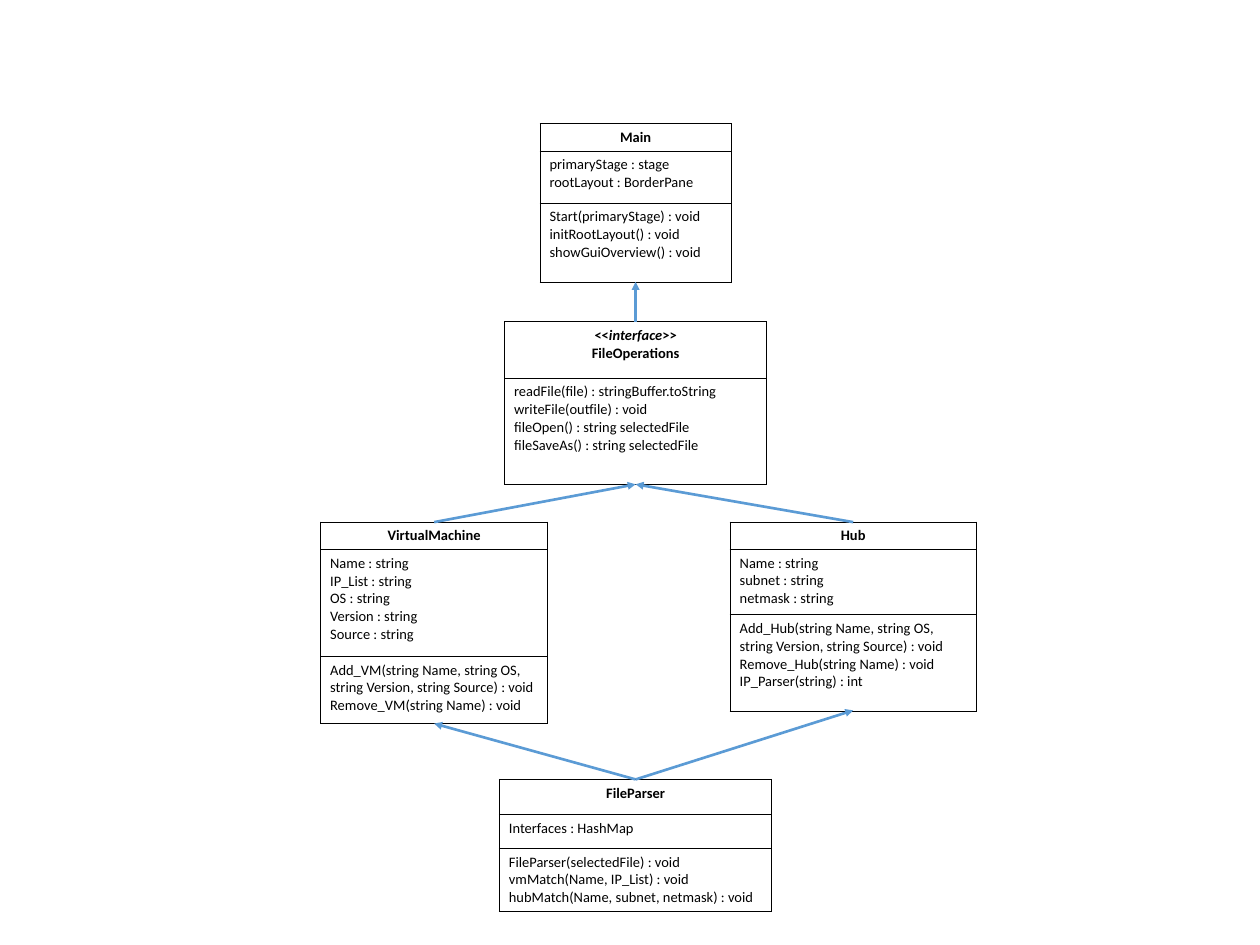
from lxml.etree import SubElement
from pptx import Presentation
from pptx.dml.color import RGBColor
from pptx.enum.shapes import MSO_CONNECTOR as Connector
from pptx.enum.text import PP_ALIGN as Align
from pptx.oxml import parse_xml
from pptx.oxml.ns import nsdecls, qn
from pptx.util import Inches, Pt

WIDTH, HEIGHT = 13.32, 9.99
FONT, FONT_SIZE = "Calibri", 11
BLACK, WHITE, BLUE = "000000", "FFFFFF", "5B9BD5"
LEFT, MIDDLE, RIGHT = 4.59, 6.72, 9.02  # centre lines of the three columns

# name: (centre, top, width, [(row height, lines), ...])
CLASSES = {
    "VirtualMachine": (LEFT, 5.52, 2.4, [
        (0.29, ["VirtualMachine"]),
        (1.13, ["Name : string", "IP_List : string", "OS : string",
                "Version : string", "Source : string"]),
        (0.71, ["Add_VM(string Name, string OS, string Version, string Source) : void",
                "Remove_VM(string Name) : void"]),
    ]),
    "Hub": (RIGHT, 5.52, 2.6, [
        (0.28, ["Hub"]),
        (0.69, ["Name : string", "subnet : string", "netmask : string"]),
        (1.02, ["Add_Hub(string Name, string OS, string Version, string Source) : void",
                "Remove_Hub(string Name) : void", "IP_Parser(string) : int"]),
    ]),
    "FileOperations": (MIDDLE, 3.4, 2.77, [
        (0.6, [("<<", "interface", ">>"), "FileOperations"]),
        (1.12, ["readFile(file) : stringBuffer.toString", "writeFile(outfile) : void",
                "fileOpen() : string selectedFile", "fileSaveAs() : string selectedFile"]),
    ]),
    "FileParser": (MIDDLE, 8.24, 2.88, [
        (0.37, ["FileParser"]),
        (0.36, ["Interfaces : HashMap"]),
        (0.65, ["FileParser(selectedFile) : void", "vmMatch(Name, IP_List) : void",
                "hubMatch(Name, subnet, netmask) : void"]),
    ]),
    "Main": (MIDDLE, 1.31, 2.02, [
        (0.28, ["Main"]),
        (0.55, ["primaryStage : stage", "rootLayout : BorderPane"]),
        (0.84, ["Start(primaryStage) : void", "initRootLayout() : void",
                "showGuiOverview() : void"]),
    ]),
}
ARROWS = [
    ("VirtualMachine", "FileOperations"),
    ("Hub", "FileOperations"),
    ("FileOperations", "Main"),
    ("FileParser", "VirtualMachine"),
    ("FileParser", "Hub"),
]


def rgb(color):
    return RGBColor.from_string(color)


def style_cell(cell):
    """Give the cell a white fill and a thin black border on every side."""
    cell.fill.solid()
    cell.fill.fore_color.rgb = rgb(WHITE)
    tc_pr = cell._tc.get_or_add_tcPr()
    for i, side in enumerate("LRTB"):
        tc_pr.insert(i, parse_xml(
            f'<a:ln{side} {nsdecls("a")} w="{Pt(1)}"><a:solidFill>'
            f'<a:srgbClr val="{BLACK}"/></a:solidFill></a:ln{side}>'))


def write_lines(cell, lines, is_title):
    """Write one paragraph per line; the middle part of a tuple is italic."""
    tf = cell.text_frame
    for i, line in enumerate(lines):
        p = tf.add_paragraph() if i else tf.paragraphs[0]
        p.alignment = Align.CENTER if is_title else Align.LEFT
        p.font.name, p.font.size = FONT, Pt(FONT_SIZE)
        p.font.bold = is_title
        p.font.color.rgb = rgb(BLACK)
        parts = (line,) if isinstance(line, str) else line
        for j, part in enumerate(parts):
            r = p.add_run()
            r.text = part
            if j == 1:
                r.font.italic = True


def add_class(slide, center, top, width, rows):
    height = sum(h for h, _ in rows)
    table = slide.shapes.add_table(
        len(rows), 1, Inches(center - width / 2), Inches(top),
        Inches(width), Inches(height)).table
    table.first_row = table.horz_banding = False
    for i, (row_height, lines) in enumerate(rows):
        table.rows[i].height = Inches(row_height)
        cell = table.cell(i, 0)
        write_lines(cell, lines, is_title=i == 0)
        style_cell(cell)


def add_arrow(slide, child, parent):
    """Point from the top centre of child to the bottom centre of parent."""
    x1, y1, _, _ = CLASSES[child]
    x2, top, _, rows = CLASSES[parent]
    y2 = top + sum(h for h, _ in rows)
    line = slide.shapes.add_connector(
        Connector.STRAIGHT, Inches(x1), Inches(y1), Inches(x2), Inches(y2))
    line.line.color.rgb = rgb(BLUE)
    line.line.width = Pt(2)
    SubElement(line.line._get_or_add_ln(), qn("a:tailEnd"), type="triangle")
    SubElement(line._element.spPr, qn("a:effectLst"))


def main():
    prs = Presentation()
    prs.slide_width, prs.slide_height = Inches(WIDTH), Inches(HEIGHT)
    slide = prs.slides.add_slide(prs.slide_layouts[6])
    for box in CLASSES.values():
        add_class(slide, *box)
    for child, parent in ARROWS:
        add_arrow(slide, child, parent)
    prs.save("out.pptx")


if __name__ == "__main__":
    main()
